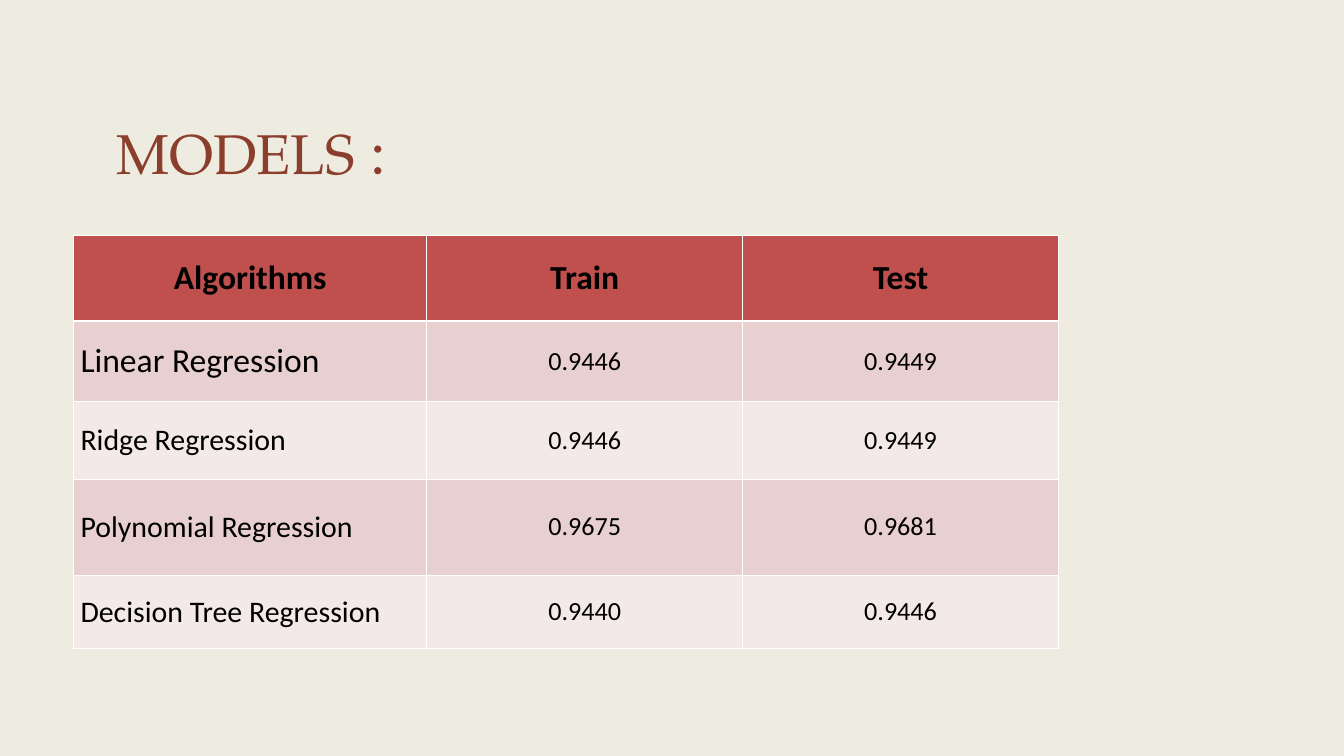
import dataclasses

import lxml.etree
import pptx
import pptx.dml.color
import pptx.enum.text
import pptx.oxml.ns
import pptx.slide
import pptx.table
import pptx.text.text
import pptx.util
from pptx.util import Cm

COLOURS = {
    "background": "EEECE1",
    "title": "8B3E2C",
    "header": "C0504D",
    "dark_band": "E8D0D0",
    "light_band": "F4E9E9",
    "border": "FFFFFF",
    "text": "000000",
}
TITLE_FONT = "TeX Gyre Pagella"
TABLE_FONT = "Calibri"
COLUMN_WIDTHS = [Cm(13.34), Cm(11.94), Cm(11.94)]
CENTER = pptx.enum.text.PP_ALIGN.CENTER
LEFT = pptx.enum.text.PP_ALIGN.LEFT


@dataclasses.dataclass(frozen=True)
class ModelRow:
    texts: tuple[str, str, str]
    height: Cm
    fill: str
    label_size: int = 32
    score_size: int = 28
    is_header: bool = False


MODEL_ROWS = [
    ModelRow(("Algorithms", "Train", "Test"), Cm(3.25), "header", 36, 36, True),
    ModelRow(("Linear Regression", "0.9446", "0.9449"), Cm(3.05), "dark_band", 36),
    ModelRow(("Ridge Regression", "0.9446", "0.9449"), Cm(2.92), "light_band"),
    ModelRow(("Polynomial Regression", "0.9675", "0.9681"), Cm(3.63), "dark_band"),
    ModelRow(("Decision Tree Regression", "0.9440", "0.9446"), Cm(2.79), "light_band"),
]


def colour(name: str) -> pptx.dml.color.RGBColor:
    return pptx.dml.color.RGBColor.from_string(COLOURS[name])


def add_run(paragraph: pptx.text.text._Paragraph, text: str, size: int,
            font_name: str, colour_name: str, bold: bool = False) -> None:
    run = paragraph.add_run()
    run.text = text
    formats = {"name": font_name, "size": pptx.util.Pt(size), "bold": bold}
    for attribute, value in formats.items():
        setattr(run.font, attribute, value)
    run.font.color.rgb = colour(colour_name)


def add_title(slide: pptx.slide.Slide) -> None:
    text_frame = slide.shapes.add_textbox(
        Cm(3.76), Cm(4.47), Cm(11.46), Cm(2.64)).text_frame
    formats = {"word_wrap": True, "margin_left": 0, "margin_top": 0,
               "margin_right": 0, "margin_bottom": 0}
    for attribute, value in formats.items():
        setattr(text_frame, attribute, value)
    paragraph = text_frame.paragraphs[0]
    paragraph.alignment = CENTER
    paragraph.line_spacing = pptx.util.Pt(73.7)
    add_run(paragraph, "MODELS", 60, TITLE_FONT, "title")
    add_run(paragraph, " :", 67, TITLE_FONT, "title")


def set_borders(cell: pptx.table._Cell, top: int, bottom: int) -> None:
    """Draw the four cell borders; call before filling, as the schema orders them."""
    properties = cell._tc.get_or_add_tcPr()
    qualified = pptx.oxml.ns.qn
    for side, points in {"L": 1, "R": 1, "T": top, "B": bottom}.items():
        line = lxml.etree.SubElement(
            properties, qualified(f"a:ln{side}"), w=str(pptx.util.Pt(points)))
        fill = lxml.etree.SubElement(line, qualified("a:solidFill"))
        lxml.etree.SubElement(fill, qualified("a:srgbClr"), val=COLOURS["border"])


def add_models_table(slide: pptx.slide.Slide) -> None:
    table = slide.shapes.add_table(
        len(MODEL_ROWS), len(COLUMN_WIDTHS), Cm(2.79), Cm(8.89),
        sum(COLUMN_WIDTHS), sum(row.height for row in MODEL_ROWS)).table
    table.first_row = False
    table.horz_banding = False
    for column, width in zip(table.columns, COLUMN_WIDTHS):
        column.width = width
    for row_index, row in enumerate(MODEL_ROWS):
        table.rows[row_index].height = row.height
        for column_index, text in enumerate(row.texts):
            cell = table.cell(row_index, column_index)
            set_borders(cell, top=3 if row_index == 1 else 1,
                        bottom=3 if row.is_header else 1)
            cell.fill.solid()
            cell.fill.fore_color.rgb = colour(row.fill)
            cell.vertical_anchor = pptx.enum.text.MSO_ANCHOR.MIDDLE
            is_label = column_index == 0
            paragraph = cell.text_frame.paragraphs[0]
            paragraph.alignment = LEFT if is_label and not row.is_header else CENTER
            size = row.label_size if is_label else row.score_size
            add_run(paragraph, text, size, TABLE_FONT, "text", row.is_header)


def main() -> None:
    presentation = pptx.Presentation()
    presentation.slide_width = Cm(50.8)
    presentation.slide_height = Cm(28.58)
    slide = presentation.slides.add_slide(presentation.slide_layouts[6])
    slide.background.fill.solid()
    slide.background.fill.fore_color.rgb = colour("background")
    add_title(slide)
    add_models_table(slide)
    presentation.save("out.pptx")


if __name__ == "__main__":
    main()
